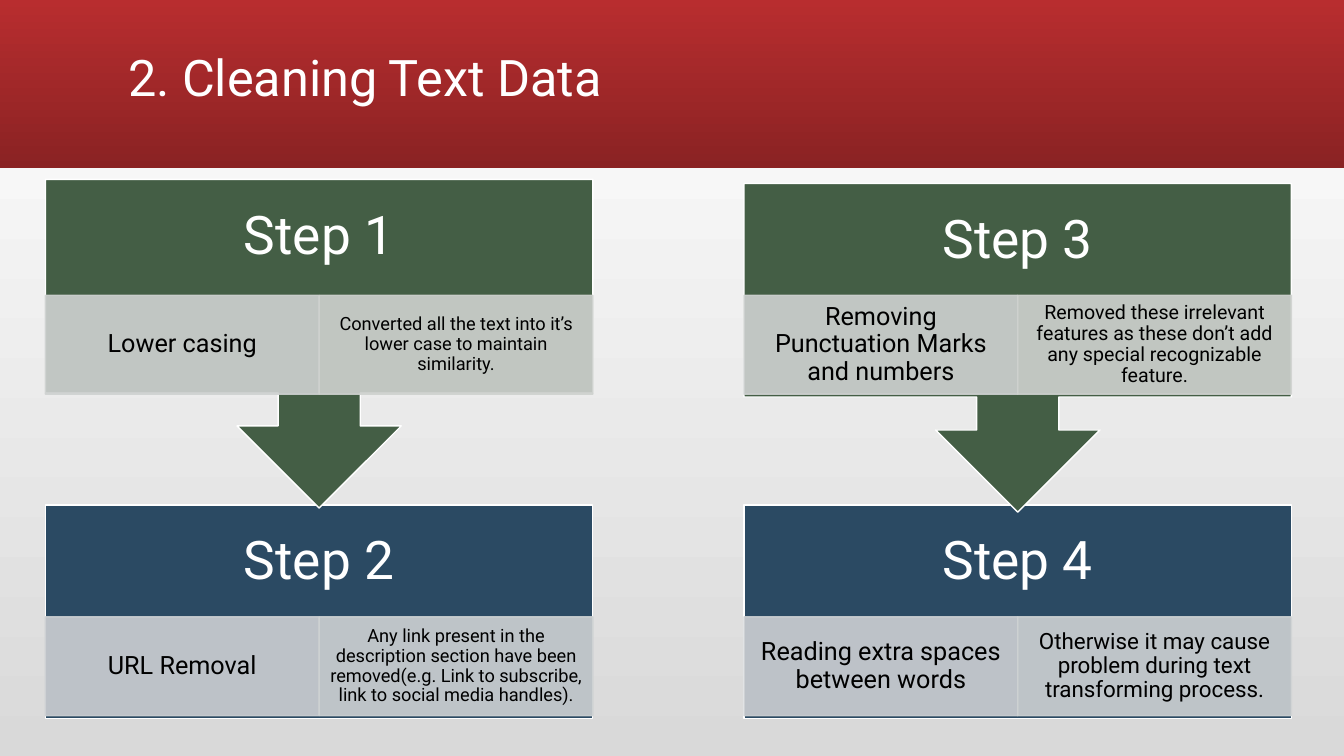
from dataclasses import dataclass

from lxml.etree import SubElement
from pptx import Presentation
from pptx.dml.color import RGBColor
from pptx.enum.shapes import MSO_SHAPE
from pptx.enum.text import MSO_ANCHOR, PP_ALIGN
from pptx.oxml.ns import qn
from pptx.util import Inches, Pt


@dataclass(frozen=True)
class Theme:
    font: str = "Roboto"
    light: str = "FFFFFF"
    dark: str = "000000"
    backdrop: tuple = ("D9D9D9", "FFFFFF")
    banner: tuple = ("B82D2F", "8A2223")
    green: str = "445E45"
    blue: str = "2B4A63"
    green_tints: tuple = ("CFD2D1", "CFD2CF")
    blue_tints: tuple = ("CDD0D3", "CED2D3")
    tint_alpha: int = 90
    title_size: int = 36
    step_size: int = 38
    name_size: int = 18
    step_inset: float = 21.6


class Deck:
    """Draws themed elements on one slide, placed on a grid of 100 columns by 100 rows."""

    def __init__(self, theme):
        self.theme = theme
        self.prs = Presentation()
        self.prs.slide_width, self.prs.slide_height = Inches(13.33), Inches(7.5)
        self.slide = self.prs.slides.add_slide(self.prs.slide_layouts[5])
        self.gradient(self.slide.background.fill, theme.backdrop, 90)

    def at(self, x, y, w, h):
        col, row = self.prs.slide_width / 100, self.prs.slide_height / 100
        return int(x * col), int(y * row), int(w * col), int(h * row)

    def gradient(self, fill, colors, angle):
        fill.gradient()
        fill.gradient_angle = angle
        for position, (stop, color) in enumerate(zip(fill.gradient_stops, colors)):
            stop.position = position
            stop.color.rgb = RGBColor.from_string(color)

    def set_text(self, sp, text, size, color, align=PP_ALIGN.CENTER, inset=(7.2, 3.6)):
        tf = sp.text_frame
        tf.word_wrap = True
        tf.vertical_anchor = MSO_ANCHOR.MIDDLE
        tf.margin_left = tf.margin_right = Pt(inset[0])
        tf.margin_top = tf.margin_bottom = Pt(inset[1])
        p = tf.paragraphs[0]
        p.text = text
        p.alignment = align
        p.line_spacing = 0.9
        p.font.name = self.theme.font
        p.font.size = Pt(size)
        p.font.color.rgb = RGBColor.from_string(color)

    def banner(self, height):
        sp = self.slide.shapes.add_shape(MSO_SHAPE.RECTANGLE, *self.at(0, 0, 100, height))
        sp.shadow.inherit = False
        sp.line.fill.background()
        self.gradient(sp.fill, self.theme.banner, 270)
        self.slide.shapes._spTree.insert(2, sp._element)

    def title(self, text, x, y, w, h):
        sp = self.slide.shapes.title
        sp.left, sp.top, sp.width, sp.height = self.at(x, y, w, h)
        self.set_text(sp, text, self.theme.title_size, self.theme.light, PP_ALIGN.LEFT)
        sp.text_frame.margin_bottom = Pt(9)

    def block(self, group, kind, box, fill, line, alpha=100):
        sp = group.shapes.add_shape(kind, *self.at(*box))
        sp.shadow.inherit = False
        sp.fill.solid()
        sp.fill.fore_color.rgb = RGBColor.from_string(fill)
        sp.line.color.rgb = RGBColor.from_string(line)
        sp.line.width = Pt(1)
        if alpha < 100:
            for color in sp._element.spPr.iter(qn("a:srgbClr")):
                SubElement(color, qn("a:alpha")).set("val", str(alpha * 1000))
        return sp

    def heading(self, group, text, box):
        sp = group.shapes.add_textbox(*self.at(*box))
        inset = self.theme.step_inset
        self.set_text(sp, text, self.theme.step_size, self.theme.light, inset=(inset, inset))

    def details(self, group, x, y, w, h, tints, texts, sizes):
        for i, (tint, text, size) in enumerate(zip(tints, texts, sizes)):
            box = (x + i * w / 2, y, w / 2, h)
            sp = self.block(group, MSO_SHAPE.RECTANGLE, box, tint, tint, self.theme.tint_alpha)
            self.set_text(sp, text, size, self.theme.dark, inset=(size * 0.56, size * 0.11))

    def flow(self, x, y, first, second):
        theme, w = self.theme, 40.73
        group = self.slide.shapes.add_group_shape()
        lower = (66.8, 28.27, 81.6, MSO_SHAPE.RECTANGLE, 0, theme.blue, theme.blue_tints)
        upper = (y, 43.47, 39.07, MSO_SHAPE.UP_ARROW_CALLOUT, 180, theme.green, theme.green_tints)
        for style, step in ((lower, second), (upper, first)):
            top, height, detail_top, kind, turn, fill, tints = style
            name, texts, size = step
            sp = self.block(group, kind, (x, top, w, height), fill, theme.light)
            sp.rotation = turn
            self.heading(group, name, (x, top, w, 15.25))
            self.details(group, x, detail_top, w, 13.07, tints, texts, (theme.name_size, size))


def main():
    deck = Deck(Theme())
    deck.banner(22.27)
    deck.title("2. Cleaning Text Data", 8.78, 1.47, 82.52, 19.33)
    deck.flow(
        3.38, 23.73,
        ("Step 1", ("Lower casing",
                    "Converted all the text into it’s lower case to maintain similarity."), 13),
        ("Step 2", ("URL Removal",
                    "Any link present in the description section have been removed"
                    "(e.g. Link to subscribe, link to social media handles)."), 13),
    )
    deck.flow(
        55.36, 24.27,
        ("Step 3", ("Removing Punctuation Marks and numbers",
                    "Removed these irrelevant features as these don’t add "
                    "any special recognizable feature."), 14),
        ("Step 4", ("Reading extra spaces between words",
                    "Otherwise it may cause problem during text transforming process."), 16),
    )
    deck.prs.save("out.pptx")


if __name__ == "__main__":
    main()
